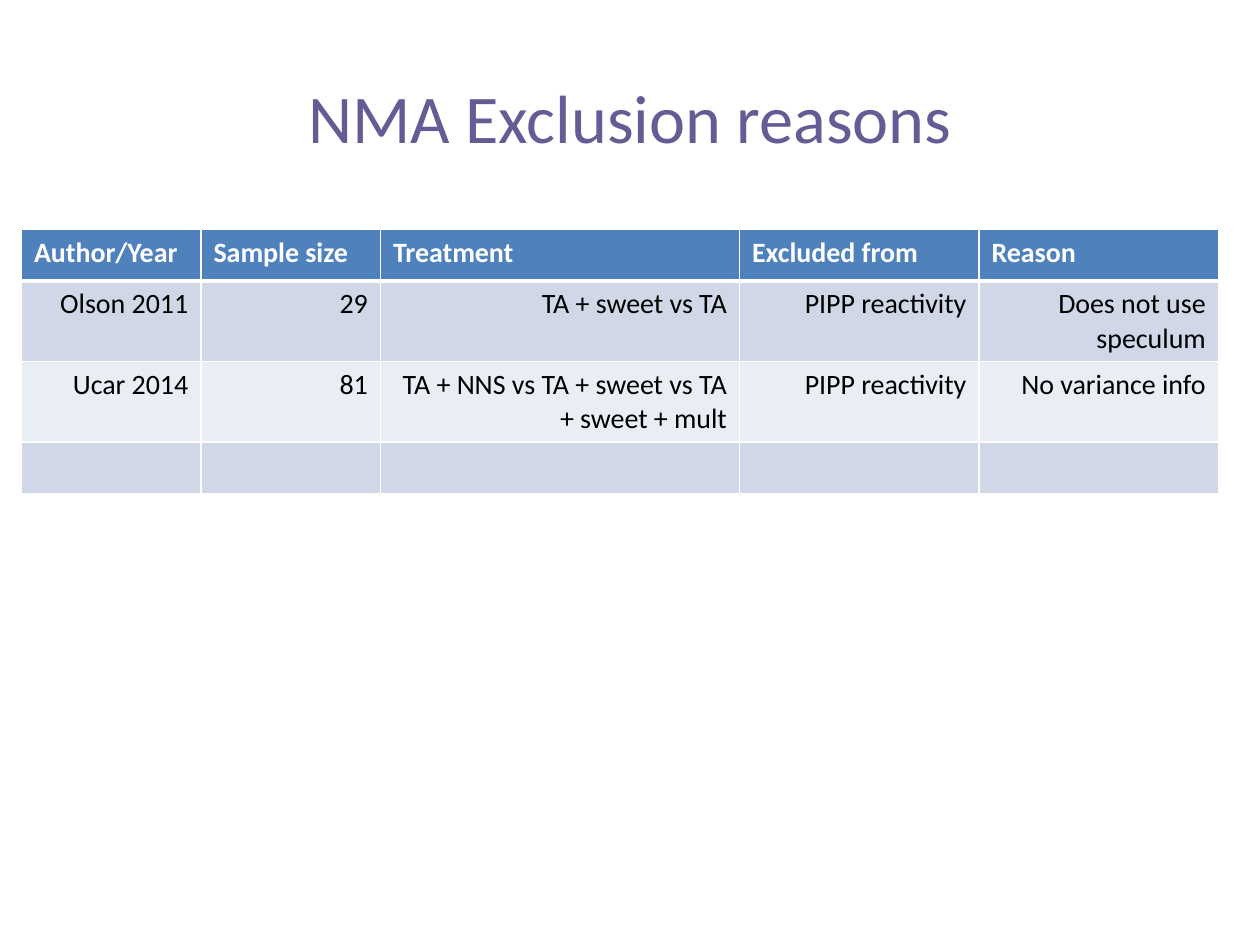
from lxml.etree import SubElement
from pptx import Presentation
from pptx.dml.color import RGBColor
from pptx.enum.text import MSO_ANCHOR, PP_ALIGN
from pptx.oxml.ns import qn
from pptx.util import Inches, Pt


def color(hex_string):
    return RGBColor.from_string(hex_string)


def add_span(para, text, size, hex_string, bold=False):
    span = para.add_run()
    span.text = text
    span.font.name = "Calibri"
    span.font.size = Pt(size)
    span.font.bold = bold
    span.font.color.rgb = color(hex_string)


deck = Presentation()
deck.slide_width, deck.slide_height = Inches(10), Inches(7.5)
page = deck.slides.add_slide(deck.slide_layouts[6])
width, height = deck.slide_width, deck.slide_height

# Title
title_box = page.shapes.add_textbox(
    int(width * 0.05), int(height * 0.04), int(width * 0.9), Inches(1.25))
title_frame = title_box.text_frame
title_frame.word_wrap = True
title_frame.vertical_anchor = MSO_ANCHOR.MIDDLE
title_para = title_frame.paragraphs[0]
title_para.alignment = PP_ALIGN.CENTER
add_span(title_para, "NMA Exclusion reasons", 39, "665C95")

# Table of excluded studies; the last row is left open
rows = [
    ["Author/Year", "Sample size", "Treatment", "Excluded from", "Reason"],
    ["Olson 2011", "29", "TA + sweet vs TA", "PIPP reactivity",
     "Does not use speculum"],
    ["Ucar 2014", "81", "TA + NNS vs TA + sweet vs TA + sweet + mult",
     "PIPP reactivity", "No variance info"],
    [""] * 5,
]
column_shares = [0.15, 0.15, 0.3, 0.2, 0.2]
row_heights = [0.41, 0.64, 0.64, 0.41]
row_fills = ["4F81BD", "D0D8E8", "E9EDF4", "D0D8E8"]
table_width = int(width * 0.95)

table = page.shapes.add_table(
    len(rows), len(column_shares), Inches(0.17), Inches(1.82),
    table_width, Inches(sum(row_heights))).table
for column, share in zip(table.columns, column_shares):
    column.width = int(table_width * share)

for row_index, texts in enumerate(rows):
    header = row_index == 0
    table.rows[row_index].height = Inches(row_heights[row_index])
    # White grid lines, heavier below the header
    borders = {"lnL": 1, "lnR": 1,
               "lnT": 3 if row_index == 1 else 1,
               "lnB": 3 if header else 1}
    for column_index, text in enumerate(texts):
        cell = table.cell(row_index, column_index)
        properties = cell._tc.get_or_add_tcPr()
        for side, points in borders.items():
            line = SubElement(properties, qn(f"a:{side}"), w=str(Pt(points)))
            line_fill = SubElement(line, qn("a:solidFill"))
            SubElement(line_fill, qn("a:srgbClr"), val="FFFFFF")
        cell.fill.solid()
        cell.fill.fore_color.rgb = color(row_fills[row_index])
        para = cell.text_frame.paragraphs[0]
        para.alignment = PP_ALIGN.LEFT if header else PP_ALIGN.RIGHT
        if text:
            add_span(para, text, 16, "FFFFFF" if header else "000000", header)

deck.save("out.pptx")
